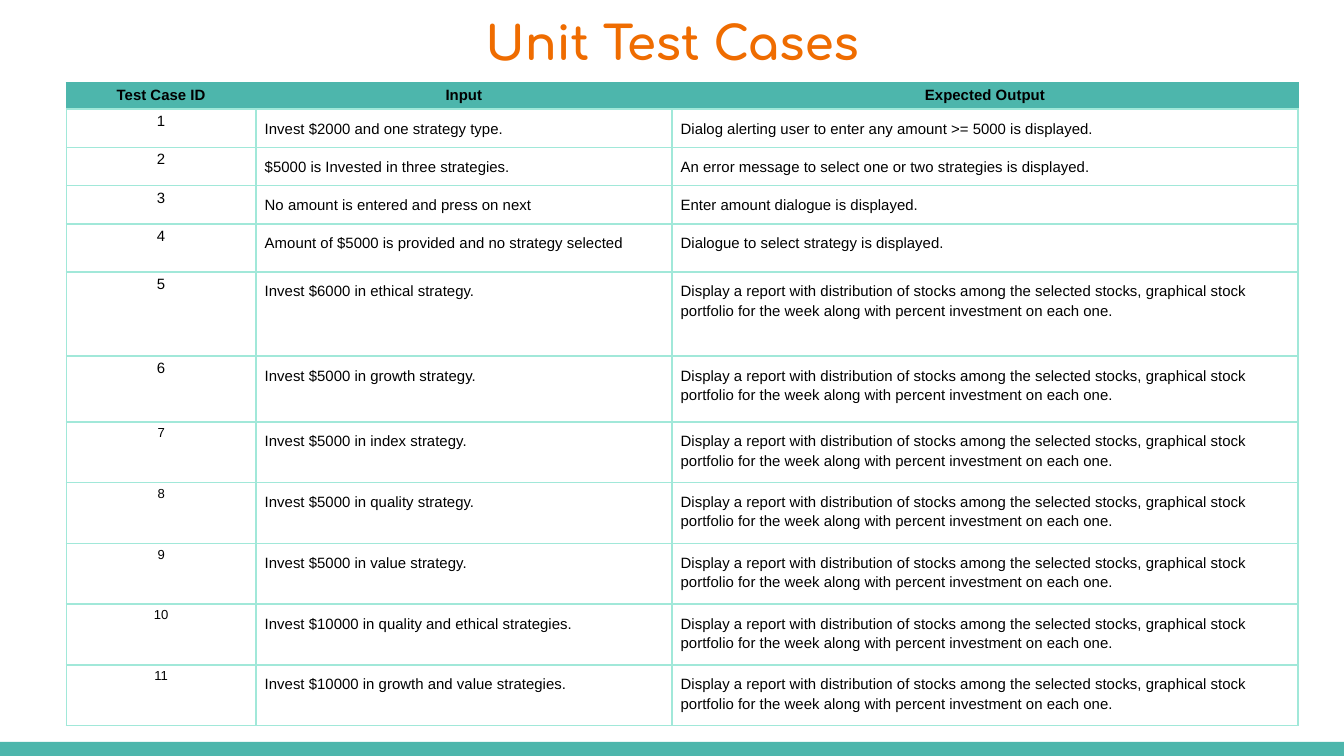
import dataclasses

import pptx
import pptx.dml.color
import pptx.enum.shapes
import pptx.enum.text
import pptx.oxml.ns
import pptx.util
from lxml import etree

COLORS = {"teal": "4DB6AC", "mint": "A1E8D9", "orange": "EF6C00", "black": "000000"}
GRID_COLS, GRID_ROWS = 1000, 562.5
COL_SPANS = (141, 309.5, 466)
HEADER_SPAN = 19
HEADERS = ("Test Case ID", "Input", "Expected Output")
REPORT = (
    "Display a report with distribution of stocks among the selected stocks, "
    "graphical stock portfolio for the week along with percent investment on each one."
)


@dataclasses.dataclass
class Area:
    col: float
    row: float
    cols: float
    rows: float


@dataclasses.dataclass
class TestCase:
    action: str
    expected: str = REPORT
    span: float = 45.2
    id_size: int = 7


@dataclasses.dataclass
class CellStyle:
    size: int = 8
    bold: bool = False
    centered: bool = True
    inset: float = 3
    spacing: float = 1.0
    fill: str | None = None


CASES = (
    TestCase("Invest $2000 and one strategy type.",
             "Dialog alerting user to enter any amount >= 5000 is displayed.", 28.2, 8),
    TestCase("$5000 is Invested in three strategies.",
             "An error message to select one or two strategies is displayed.", 28.2, 8),
    TestCase("No amount is entered and press on next",
             "Enter amount dialogue is displayed.", 28.2, 8),
    TestCase("Amount of $5000 is provided and no strategy selected",
             "Dialogue to select strategy is displayed.", 35.8, 8),
    TestCase("Invest $6000 in ethical strategy.", span=62.6, id_size=8),
    TestCase("Invest $5000 in growth strategy.", span=49, id_size=8),
    TestCase("Invest $5000 in index strategy."),
    TestCase("Invest $5000 in quality strategy."),
    TestCase("Invest $5000 in value strategy."),
    TestCase("Invest $10000 in quality and ethical strategies."),
    TestCase("Invest $10000 in growth and value strategies."),
)
TITLE = Area(34, 0, 932, 50)
TABLE = Area(49.4, 61.8, sum(COL_SPANS), HEADER_SPAN + sum(c.span for c in CASES))
FOOTER = Area(0, 552, GRID_COLS, GRID_ROWS - 552)
HEADER_STYLE = CellStyle(bold=True, fill="teal")
TEXT_STYLE = CellStyle(centered=False, inset=6.6, spacing=1.15)


def units(n: float) -> pptx.util.Length:
    return pptx.util.Inches(n / 100)


def place(area: Area) -> list[pptx.util.Length]:
    return [units(n) for n in dataclasses.astuple(area)]


def rgb(name: str) -> pptx.dml.color.RGBColor:
    return pptx.dml.color.RGBColor.from_string(COLORS[name])


def set_font(p, name: str, size: int, bold: bool, color: str) -> None:
    p.font.name = name
    p.font.size = pptx.util.Pt(size)
    p.font.bold = bold
    p.font.color.rgb = rgb(color)


def set_borders(cell, sides: str, color: str) -> None:
    qn = pptx.oxml.ns.qn
    pr = cell._tc.get_or_add_tcPr()
    for side in sides:
        ln = etree.SubElement(pr, qn(f"a:ln{side}"), w=str(pptx.util.Pt(1)))
        fill = etree.SubElement(ln, qn("a:solidFill"))
        etree.SubElement(fill, qn("a:srgbClr"), val=COLORS[color])


def fill_cell(cell, text: str, style: CellStyle) -> None:
    set_borders(cell, "LRT", style.fill or "mint")
    set_borders(cell, "B", "mint")
    if style.fill:
        cell.fill.solid()
        cell.fill.fore_color.rgb = rgb(style.fill)
    else:
        cell.fill.background()
    cell.margin_left = cell.margin_right = units(style.inset)
    cell.margin_top = cell.margin_bottom = units(style.inset)
    p = cell.text_frame.paragraphs[0]
    p.text = text
    p.line_spacing = style.spacing
    align = pptx.enum.text.PP_ALIGN
    p.alignment = align.CENTER if style.centered else align.LEFT
    set_font(p, "Arial", style.size, style.bold, "black")


def add_footer(s) -> None:
    sp = s.shapes.add_shape(pptx.enum.shapes.MSO_SHAPE.RECTANGLE, *place(FOOTER))
    sp.shadow.inherit = False
    sp.fill.solid()
    sp.fill.fore_color.rgb = rgb("teal")
    sp.line.fill.background()


def add_title(s) -> None:
    tf = s.shapes.add_textbox(*place(TITLE)).text_frame
    tf.word_wrap = True
    tf.margin_left = tf.margin_right = tf.margin_top = tf.margin_bottom = units(10)
    p = tf.paragraphs[0]
    p.text = "Unit Test Cases"
    p.alignment = pptx.enum.text.PP_ALIGN.CENTER
    set_font(p, "Comfortaa", 25, True, "orange")


def add_cases(s) -> None:
    table = s.shapes.add_table(len(CASES) + 1, len(HEADERS), *place(TABLE)).table
    table.first_row = table.horz_banding = False
    for column, span in zip(table.columns, COL_SPANS):
        column.width = units(span)
    table.rows[0].height = units(HEADER_SPAN)
    for col, text in enumerate(HEADERS):
        fill_cell(table.cell(0, col), text, HEADER_STYLE)
    for row, case in enumerate(CASES, 1):
        table.rows[row].height = units(case.span)
        fill_cell(table.cell(row, 0), str(row), CellStyle(size=case.id_size))
        fill_cell(table.cell(row, 1), case.action, TEXT_STYLE)
        fill_cell(table.cell(row, 2), case.expected, TEXT_STYLE)


def main() -> None:
    prs = pptx.Presentation()
    prs.slide_width, prs.slide_height = units(GRID_COLS), units(GRID_ROWS)
    s = prs.slides.add_slide(prs.slide_layouts[6])
    add_footer(s)
    add_title(s)
    add_cases(s)
    prs.save("out.pptx")


if __name__ == "__main__":
    main()
